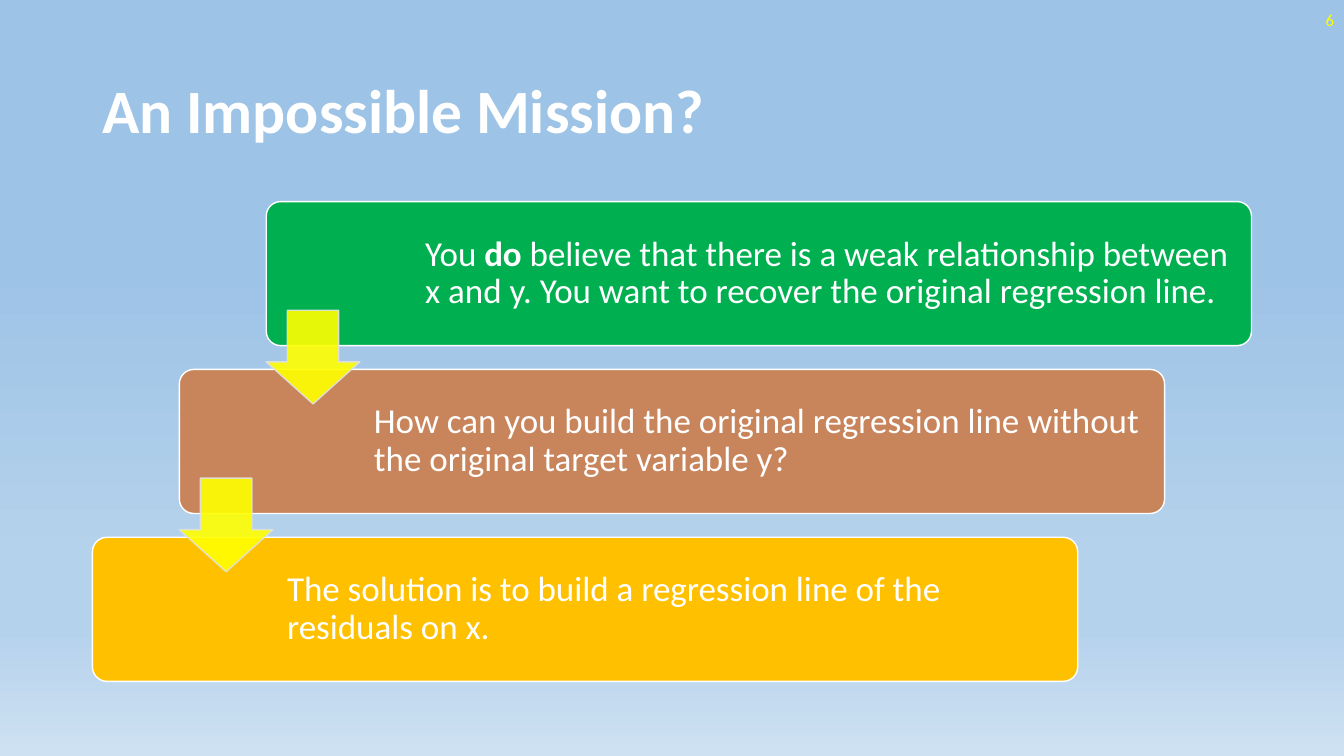
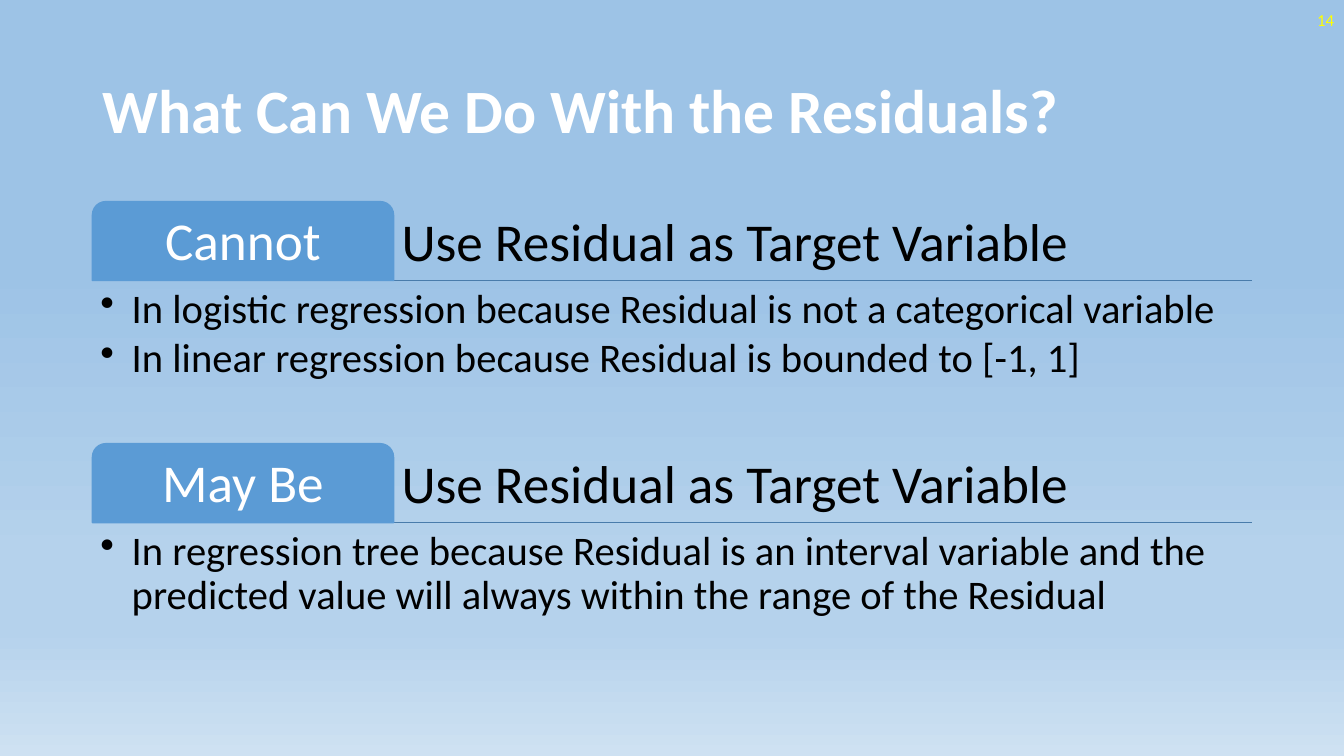
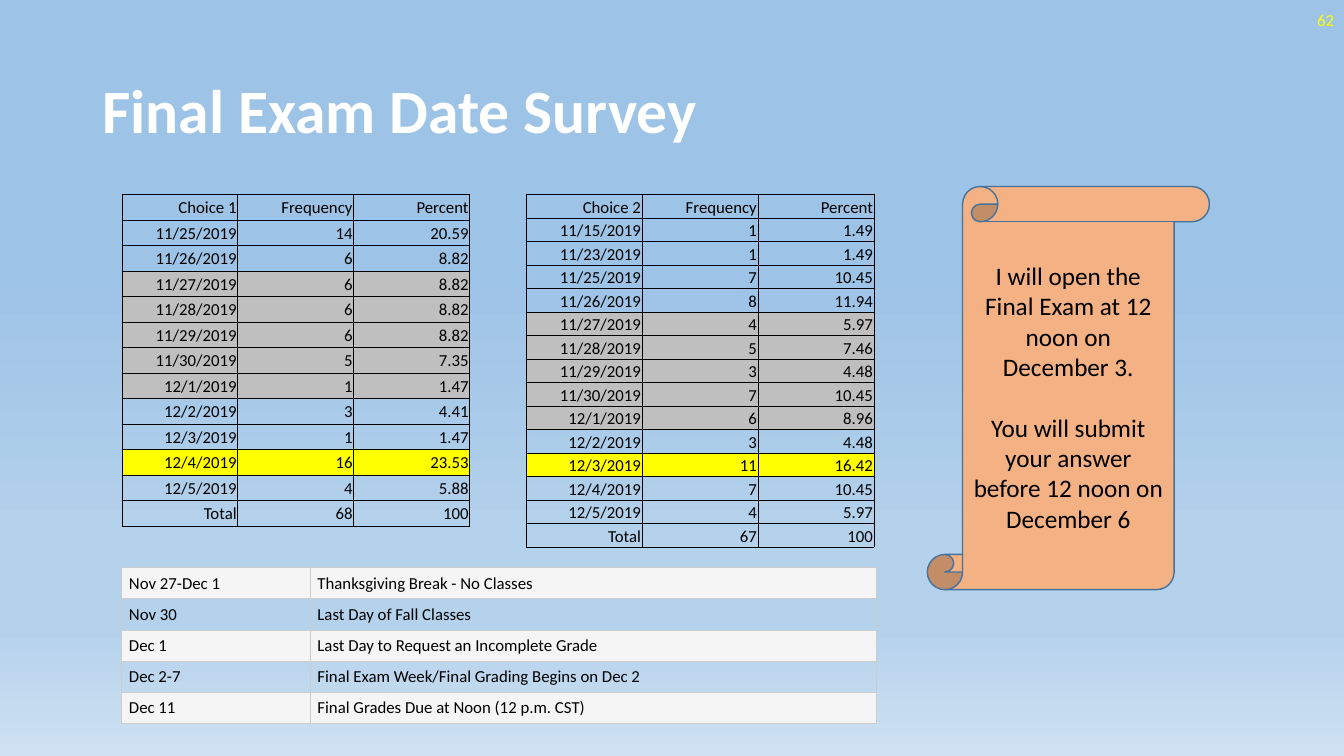
from collections import namedtuple

from lxml.etree import SubElement
from pptx import Presentation
from pptx.dml.color import RGBColor
from pptx.enum.shapes import MSO_CONNECTOR, MSO_SHAPE
from pptx.enum.text import MSO_ANCHOR, PP_ALIGN
from pptx.oxml.ns import qn
from pptx.util import Cm, Pt

Box = namedtuple("Box", "left top width height")

FONT = "Calibri"
WHITE, BLACK, YELLOW = "FFFFFF", "000000", "FFFF00"
GREEN, BROWN, AMBER = "00B050", "C8855C", "FFC000"
BLUE, RULE_BLUE = "5B9BD5", "497CAB"
PEACH, SCROLL_EDGE = "F4B183", "43739E"
GREY, PALE, EDGE_GREY, ARROW_EDGE = "BFBFBF", "F5F5F5", "CCCCCC", "E1E1E1"
SKY = [(35, "9DC3E6"), (74, "B5D2EC"), (83, "B5D2EC"), (100, "CEE1F2")]

PAGE_WIDTH, PAGE_HEIGHT = 33.87, 19.05
TITLE = Box(2.33, 1.02, 29.21, 3.68)
BODY = Box(2.33, 5.08, 29.21, 12.09)
NUMBER = Box(PAGE_WIDTH - 7.62, 0, 7.62, 1.02)
DEFAULT_INSETS = (0.25, 0.13, 0.25, 0.13)

BREAK_DAYS = {"11/27/2019", "11/28/2019", "11/29/2019", "11/30/2019", "12/1/2019"}
FIRST_CHOICE = [
    ("11/25/2019", 14), ("11/26/2019", 6), ("11/27/2019", 6), ("11/28/2019", 6),
    ("11/29/2019", 6), ("11/30/2019", 5), ("12/1/2019", 1), ("12/2/2019", 3),
    ("12/3/2019", 1), ("12/4/2019", 16), ("12/5/2019", 4),
]
SECOND_CHOICE = [
    ("11/15/2019", 1), ("11/23/2019", 1), ("11/25/2019", 7), ("11/26/2019", 8),
    ("11/27/2019", 4), ("11/28/2019", 5), ("11/29/2019", 3), ("11/30/2019", 7),
    ("12/1/2019", 6), ("12/2/2019", 3), ("12/3/2019", 11), ("12/4/2019", 7),
    ("12/5/2019", 4),
]
CALENDAR = [
    ("Nov 27-Dec 1", "Thanksgiving Break - No Classes"),
    ("Nov 30", "Last Day of Fall Classes"),
    ("Dec 1", "Last Day to Request an Incomplete Grade"),
    ("Dec 2-7", "Final Exam Week/Final Grading Begins on Dec 2"),
    ("Dec 11", "Final Grades Due at Noon (12 p.m. CST)"),
]


def rgb(color):
    return RGBColor.from_string(color)


def lengths(box):
    return [Cm(value) for value in box]


def set_insets(target, insets):
    """Set left, top, right and bottom margins of a text frame or cell."""
    (target.margin_left, target.margin_top,
     target.margin_right, target.margin_bottom) = lengths(insets)


def write(frame, paragraphs, size, color, align=PP_ALIGN.LEFT, bold=False,
          line_spacing=1.0, gap=0, bullet_indent=0):
    """Fill a frame; a paragraph is a string or a list of (text, bold) runs."""
    for index, runs in enumerate(paragraphs):
        para = frame.add_paragraph() if index else frame.paragraphs[0]
        if bullet_indent:
            properties = para._p.get_or_add_pPr()
            properties.set("marL", str(Cm(bullet_indent)))
            properties.set("indent", str(-Cm(bullet_indent)))
            SubElement(properties, qn("a:buChar")).set("char", "•")
        para.alignment = align
        para.line_spacing = line_spacing
        if index and gap:
            para.space_before = Pt(gap)
        for text, is_bold in [(runs, bold)] if isinstance(runs, str) else runs:
            span = para.add_run()
            span.text = text
            span.font.name = FONT
            span.font.size = Pt(size)
            span.font.bold = is_bold
            span.font.color.rgb = rgb(color)


def prepare(frame, anchor, insets):
    frame.word_wrap = True
    frame.vertical_anchor = anchor
    set_insets(frame, insets)
    return frame


def add_text(page, box, paragraphs, size, color, anchor=MSO_ANCHOR.MIDDLE,
             insets=DEFAULT_INSETS, **style):
    frame = page.shapes.add_textbox(*lengths(box)).text_frame
    write(prepare(frame, anchor, insets), paragraphs, size, color, **style)


def add_shape(page, kind, box, fill, line, adjustments=()):
    shape = page.shapes.add_shape(kind, *lengths(box))
    shape.shadow.inherit = False
    shape.fill.solid()
    shape.fill.fore_color.rgb = rgb(fill)
    shape.line.color.rgb = rgb(line)
    shape.line.width = Pt(1)
    for index, value in enumerate(adjustments):
        shape.adjustments[index] = value
    return shape


def add_rule(page, left, top, width, color):
    rule = page.shapes.add_connector(
        MSO_CONNECTOR.STRAIGHT, Cm(left), Cm(top), Cm(left + width), Cm(top))
    rule.line.color.rgb = rgb(color)
    rule.line.width = Pt(1)
    SubElement(rule._element.spPr, qn("a:effectLst"))


def set_opacity(shape, percent):
    """Make both the fill and the line of a shape partly transparent."""
    for color in shape._element.spPr.iter(qn("a:srgbClr")):
        SubElement(color, qn("a:alpha")).set("val", str(percent * 1000))


def paint_background(master):
    fill = master.background.fill
    fill.gradient()
    fill.gradient_angle = 270
    stops = next(master.element.iter(qn("a:gsLst")))
    for stop in list(stops):
        stops.remove(stop)
    for position, color in SKY:
        stop = SubElement(stops, qn("a:gs"))
        stop.set("pos", str(position * 1000))
        SubElement(stop, qn("a:srgbClr")).set("val", color)


def add_page(deck, title, number):
    page = deck.slides.add_slide(deck.slide_layouts[6])
    add_text(page, TITLE, [title], 44, WHITE, bold=True, line_spacing=0.9)
    add_text(page, NUMBER, [str(number)], 12, YELLOW, align=PP_ALIGN.RIGHT)
    return page


def add_staircase(page, box, steps):
    """Cards stepping down to the left, joined by arrows."""
    card_width, card_height = 24.83, 3.63
    arrow_side, arrow_drop = 2.36, 2.74
    last = len(steps) - 1
    step_left = (box.width - card_width) / last
    step_down = (box.height - card_height) / last
    corners = [(box.left + (last - index) * step_left, box.top + index * step_down)
               for index in range(len(steps))]
    for (left, top), (fill, text_indent, runs) in zip(corners, steps):
        card = add_shape(page, MSO_SHAPE.ROUNDED_RECTANGLE,
                         Box(left, top, card_width, card_height), fill, WHITE, [0.1])
        frame = prepare(card.text_frame, MSO_ANCHOR.MIDDLE, (text_indent, 0.25, 0.25, 0.25))
        write(frame, [runs], 25, WHITE, line_spacing=0.9)
    for left, top in corners[:-1]:
        arrow = add_shape(page, MSO_SHAPE.DOWN_ARROW,
                          Box(left, top + arrow_drop, arrow_side, arrow_side),
                          YELLOW, ARROW_EDGE, [0.55, 0.45])
        set_opacity(arrow, 90)


def add_tabbed_section(page, box, label, heading, points):
    tab_width, tab_height = 7.59, 1.99
    insets = (0.2, 0.2, 0.2, 0.2)
    add_rule(page, box.left, box.top + tab_height, box.width, RULE_BLUE)
    add_text(page, Box(box.left + tab_width, box.top, box.width - tab_width, tab_height),
             [heading], 38, BLACK, MSO_ANCHOR.BOTTOM, insets, line_spacing=0.9)
    tab = add_shape(page, MSO_SHAPE.ROUND_2_SAME_RECTANGLE,
                    Box(box.left, box.top, tab_width, tab_height), BLUE, BLUE, [0.17, 0])
    write(prepare(tab.text_frame, MSO_ANCHOR.MIDDLE, insets), [label], 38, WHITE,
          align=PP_ALIGN.CENTER, line_spacing=0.9)
    add_text(page, Box(box.left, box.top + tab_height, box.width, box.height - tab_height),
             points, 29, BLACK, MSO_ANCHOR.TOP, insets,
             line_spacing=0.9, gap=4, bullet_indent=0.79)


def set_borders(cell, color, width):
    properties = cell._tc.get_or_add_tcPr()
    for side in ("a:lnL", "a:lnR", "a:lnT", "a:lnB"):
        border = SubElement(properties, qn(side))
        border.set("w", str(Pt(width)))
        solid = SubElement(border, qn("a:solidFill"))
        SubElement(solid, qn("a:srgbClr")).set("val", color)


def add_grid(page, box, rows, fills, column_widths, border, insets, anchor, align):
    """A table with one fill, or None, for each row."""
    table = page.shapes.add_table(len(rows), len(column_widths), *lengths(box)).table
    table.first_row = table.horz_banding = False
    for column, width in zip(table.columns, column_widths):
        column.width = Cm(width)
    for table_row, texts, fill in zip(table.rows, rows, fills):
        for cell, text in zip(table_row.cells, texts):
            set_borders(cell, *border)
            if fill:
                cell.fill.solid()
                cell.fill.fore_color.rgb = rgb(fill)
            else:
                cell.fill.background()
            cell.vertical_anchor = anchor
            set_insets(cell, insets)
            write(cell.text_frame, [text], 12, BLACK, align=align)


def add_survey(page, box, heading, votes, anchor):
    """Votes with percentages; break days are grey, the top date is yellow."""
    total = sum(count for _, count in votes)
    most = max(count for _, count in votes)
    rows, fills = [(heading, "Frequency", "Percent")], [None]
    for date, count in votes:
        rows.append((date, str(count), f"{100 * count / total:.2f}"))
        fills.append(YELLOW if count == most else GREY if date in BREAK_DAYS else None)
    rows.append(("Total", str(total), "100"))
    fills.append(None)
    add_grid(page, box, rows, fills, [box.width / 3] * 3, (BLACK, 0.5),
             (0.03, 0.03, 0.03, 0), anchor, PP_ALIGN.RIGHT)


def add_calendar(page, box):
    date_width = 4.75
    fills = [None if index % 2 else PALE for index in range(len(CALENDAR))]
    add_grid(page, box, CALENDAR, fills, [date_width, box.width - date_width],
             (EDGE_GREY, 0.75), (0.18, 0.13, 0.18, 0.13), MSO_ANCHOR.TOP, PP_ALIGN.LEFT)


def add_scroll(page, box, paragraphs):
    scroll = add_shape(page, MSO_SHAPE.VERTICAL_SCROLL, box, PEACH, SCROLL_EDGE)
    frame = prepare(scroll.text_frame, MSO_ANCHOR.MIDDLE, DEFAULT_INSETS)
    write(frame, paragraphs, 18, BLACK, align=PP_ALIGN.CENTER, gap=22)


def build_mission(deck):
    page = add_page(deck, "An Impossible Mission?", 6)
    add_staircase(page, BODY, [
        (GREEN, 3.9, [
            ("You ", False), ("do", True),
            (" believe that there is a weak relationship between x and y. "
             "You want to recover the original regression line.", False)]),
        (BROWN, 4.8, "How can you build the original regression line "
                     "without the original target variable y?"),
        (AMBER, 4.8, "The solution is to build a regression line of the residuals on x."),
    ])


def build_residuals(deck):
    page = add_page(deck, "What Can We Do With the Residuals?", 14)
    sections = [
        ("Cannot", [
            "In logistic regression because Residual is not a categorical variable",
            "In linear regression because Residual is bounded to [-1, 1]"]),
        ("May Be", [
            "In regression tree because Residual is an interval variable and the "
            "predicted value will always within the range of the Residual"]),
    ]
    pitch, height = 6.1, 5.98
    for index, (label, points) in enumerate(sections):
        box = Box(BODY.left, BODY.top + index * pitch, BODY.width, height)
        add_tabbed_section(page, box, label, "Use Residual as Target Variable", points)


def build_survey(deck):
    page = add_page(deck, "Final Exam Date Survey", 62)
    left, top, width = 3.07, 4.9, 8.77
    add_survey(page, Box(left, top, width, 8.36), "Choice 1", FIRST_CHOICE, MSO_ANCHOR.MIDDLE)
    add_survey(page, Box(13.26, top, width, 8.89), "Choice 2", SECOND_CHOICE, MSO_ANCHOR.BOTTOM)
    add_calendar(page, Box(left, 14.31, 19.02, 3.91))
    add_scroll(page, Box(23.37, 4.7, 7.11, 10.16), [
        "I will open the Final Exam at 12 noon on December 3.",
        "You will submit your answer before 12 noon on December 6",
    ])


def main():
    deck = Presentation()
    deck.slide_width, deck.slide_height = Cm(PAGE_WIDTH), Cm(PAGE_HEIGHT)
    paint_background(deck.slide_master)
    build_mission(deck)
    build_residuals(deck)
    build_survey(deck)
    deck.save("out.pptx")


if __name__ == "__main__":
    main()
